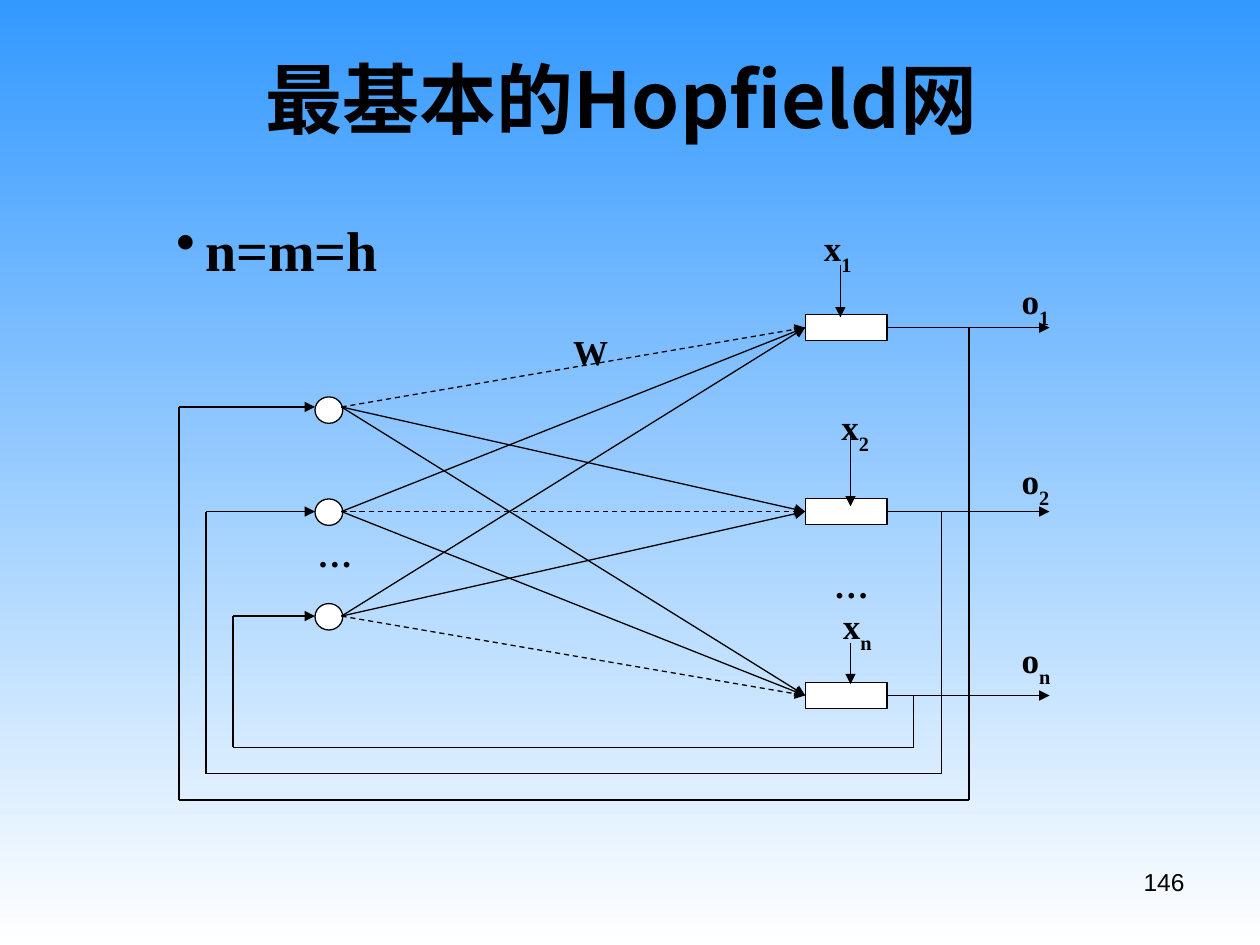
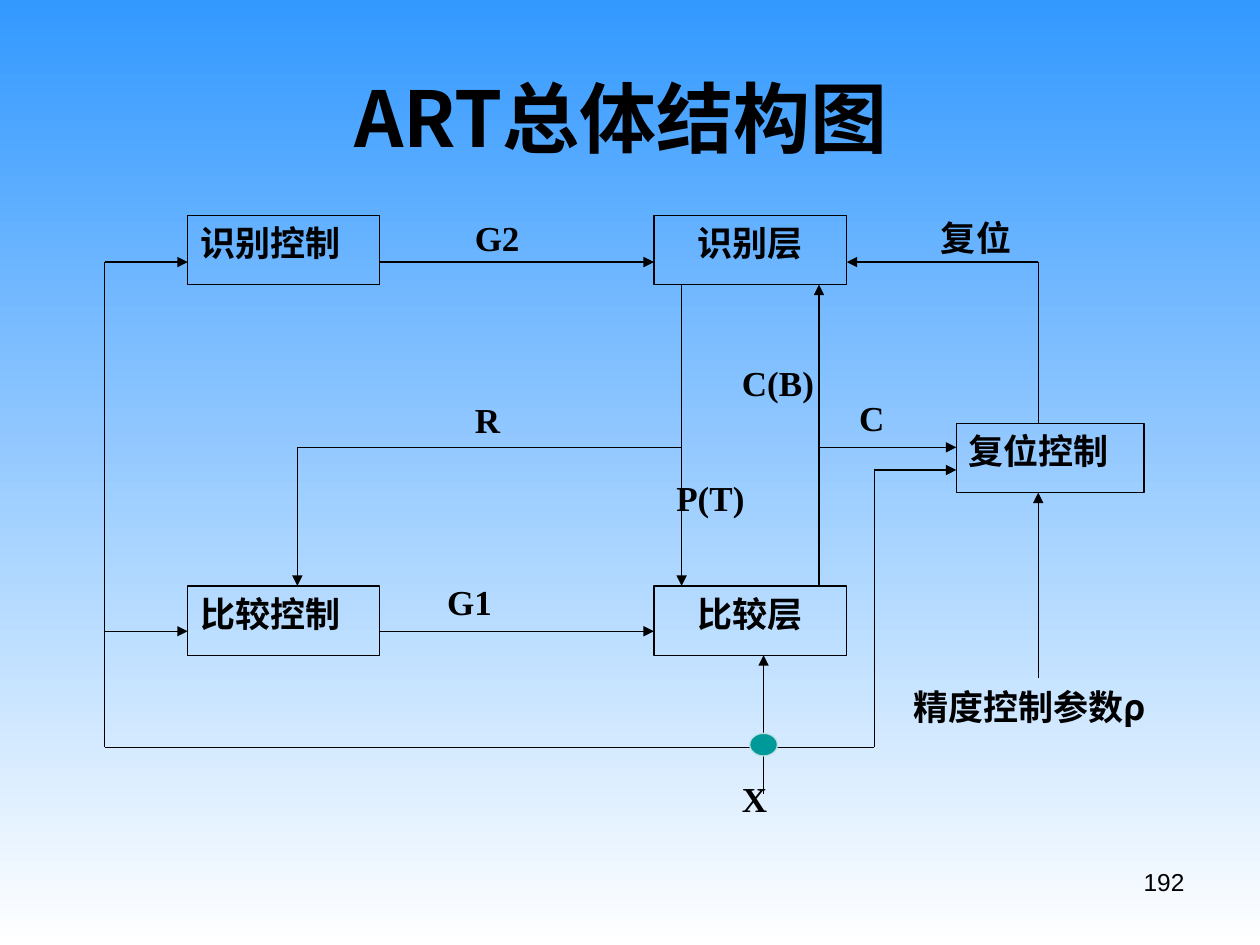
from dataclasses import dataclass
from itertools import pairwise

from lxml import etree
from pptx import Presentation
from pptx.dml.color import RGBColor
from pptx.enum import dml, shapes, text
from pptx.oxml import ns
from pptx.util import Inches, Pt


@dataclass(frozen=True)
class Theme:
    sky: RGBColor = RGBColor(0x33, 0x99, 0xFF)
    white: RGBColor = RGBColor(0xFF, 0xFF, 0xFF)
    ink: RGBColor = RGBColor(0, 0, 0)
    teal: RGBColor = RGBColor(0, 0x99, 0x99)
    pale: RGBColor = RGBColor(0xBB, 0xE0, 0xE3)
    serif: str = "Times New Roman"
    han: str = "Noto Sans CJK SC"
    sans: str = "Arial"
    title: int = 44
    bullet: int = 32
    label: int = 20
    number: int = 14
    line: float = 0.75


theme = Theme()
ALIGN = text.PP_ALIGN
SHAPE = shapes.MSO_SHAPE


def write(frame, words, size=theme.label, font=theme.serif, bold=True, align=ALIGN.LEFT,
          anchor=text.MSO_ANCHOR.TOP, wrap=True, tail="", tail_font=None, baseline=0):
    frame.word_wrap = wrap
    frame.auto_size = text.MSO_AUTO_SIZE.NONE
    frame.vertical_anchor = anchor
    para = frame.paragraphs[0]
    para.alignment = align
    for part, face in ((words, font), (tail, tail_font or font)):
        if part:
            span = para.add_run()
            span.text = part
            span.font.size = Pt(size)
            span.font.bold = bold
            span.font.color.rgb = theme.ink
            span.font.name = face
            properties = span.font._element
            etree.SubElement(properties, ns.qn("a:ea"), typeface=theme.han)
            if part == tail and baseline:
                properties.set("baseline", str(baseline * 1000))
    return para


def wire(page, *points, arrow=True, dashed=False):
    segments = list(pairwise(points))
    for index, (start, end) in enumerate(segments):
        connector = page.shapes.add_connector(
            shapes.MSO_CONNECTOR.STRAIGHT, *(Inches(value) for value in (*start, *end)))
        connector.line.color.rgb = theme.ink
        connector.line.width = Pt(theme.line)
        if dashed:
            connector.line.dash_style = dml.MSO_LINE.DASH
        if arrow and index == len(segments) - 1:
            etree.SubElement(connector.line._get_or_add_ln(), ns.qn("a:tailEnd"), type="triangle")
        etree.SubElement(connector._element.spPr, ns.qn("a:effectLst"))
    return connector


deck = Presentation()
deck.slide_width = Inches(10)
deck.slide_height = Inches(7.5)
backdrop = deck.slide_master.background.fill
backdrop.gradient()
backdrop.gradient_angle = 270
for stop, color in zip(backdrop.gradient_stops, (theme.sky, theme.white)):
    stop.color.rgb = color

pages = []
for heading, height, number in (("最基本的Hopfield网 ", 0.95, "146"), ("ART总体结构图 ", 1.25, "192")):
    page = deck.slides.add_slide(deck.slide_layouts[5])
    title = page.shapes.title
    title.left, title.top, title.width, title.height = (
        Inches(value) for value in (0.5, 0.3, 9, height))
    write(title.text_frame, heading, size=theme.title, font=theme.han,
          align=ALIGN.CENTER, anchor=text.MSO_ANCHOR.MIDDLE)
    box = page.shapes.add_textbox(Inches(7.17), Inches(6.83), Inches(2.33), Inches(0.52))
    write(box.text_frame, number, size=theme.number, font=theme.sans, bold=False, align=ALIGN.RIGHT)
    pages.append(page)

hopfield, art = pages

input_rows = [3.23 + 0.83 * index for index in range(3)]
output_rows = [2.6 + 1.46 * index for index in range(3)]
nodes = [(SHAPE.OVAL, 2.5, top, 0.22) for top in (3.15, 3.96, 4.79)]
nodes += [(SHAPE.RECTANGLE, 6.39, row - 0.21 / 2, 0.65) for row in output_rows]
neurons = []
for preset, left, top, width in nodes:
    node = hopfield.shapes.add_shape(preset, Inches(left), Inches(top), Inches(width), Inches(0.21))
    node.shadow.inherit = False
    node.fill.solid()
    node.fill.fore_color.rgb = theme.white
    node.line.color.rgb = theme.ink
    node.line.width = Pt(theme.line)
    neurons.append(node)
outputs = neurons[3:]

for source, input_row in enumerate(input_rows):
    for target, output_row in enumerate(output_rows):
        weight = wire(hopfield, (2.71, input_row), (6.39, output_row), dashed=source == target)
        weight.end_connect(outputs[target], 1)

for index, (input_row, output_row) in enumerate(zip(input_rows, output_rows)):
    output = wire(hopfield, (7.04, output_row), (8.33, output_row))
    output.begin_connect(outputs[index], 3)
    left, right, bottom = 1.42 + 0.215 * index, 7.69 - 0.22 * index, 6.35 - 0.21 * index
    wire(hopfield, (right, output_row), (right, bottom), (left, bottom),
         (left, input_row), (2.5, input_row))

for x, top, bottom in ((6.67, 2.1, 2.52), (6.75, 3.43, 4.02), (6.75, 5.1, 5.43)):
    wire(hopfield, (x, top), (x, bottom))

for words, subscript, left, top in (
    ("o", "1", 8.01, 2.17), ("o", "2", 8.01, 3.6), ("o", "n", 8.01, 5.02),
    ("x", "1", 6.44, 1.75), ("x", "2", 6.58, 3.17), ("x", "n", 6.59, 4.75),
    ("W", "", 4.45, 2.57), ("…", "", 6.52, 4.42), ("…", "", 2.42, 4.18),
):
    width, height = (0.42, 0.5) if subscript else (0.48, 0.44)
    box = hopfield.shapes.add_textbox(Inches(left), Inches(top), Inches(width), Inches(height))
    write(box.text_frame, words, tail=subscript, baseline=-30, wrap=False)

box = hopfield.shapes.add_textbox(Inches(1.3), Inches(1.66), Inches(2.2), Inches(0.72))
para = write(box.text_frame, "n=m=h", size=theme.bullet)
para.space_before = Pt(8)
properties = para._p.get_or_add_pPr()
properties.set("marL", str(Inches(0.23)))
properties.set("indent", str(Inches(-0.23)))
etree.SubElement(properties, ns.qn("a:buChar"), char="•")

for words, left, top, width, align in (
    ("识别控制", 1.49, 1.71, 1.52, ALIGN.JUSTIFY),
    ("识别层", 5.19, 1.71, 1.53, ALIGN.CENTER),
    ("比较控制", 1.49, 4.65, 1.52, ALIGN.JUSTIFY),
    ("比较层", 5.19, 4.65, 1.53, ALIGN.CENTER),
    ("复位控制", 7.59, 3.36, 1.49, ALIGN.JUSTIFY),
):
    module = art.shapes.add_shape(
        SHAPE.RECTANGLE, Inches(left), Inches(top), Inches(width), Inches(0.55))
    module.shadow.inherit = False
    module.fill.background()
    module.line.color.rgb = theme.ink
    module.line.width = Pt(theme.line)
    write(module.text_frame, words, align=align)

for words, left, top in (
    ("X", 5.79, 6.12), ("C(B)", 5.79, 2.82), ("P(T)", 5.27, 3.73), ("R", 3.67, 3.11),
    ("C", 6.72, 3.1), ("复位", 7.37, 1.67), ("G2", 3.67, 1.67), ("G1", 3.45, 4.56),
):
    box = art.shapes.add_textbox(Inches(left), Inches(top), Inches(0.87), Inches(0.55))
    write(box.text_frame, words, align=ALIGN.JUSTIFY)

box = art.shapes.add_textbox(Inches(7.15), Inches(5.39), Inches(2.18), Inches(0.55))
write(box.text_frame, "精度控制参数", align=ALIGN.JUSTIFY, tail="ρ", tail_font=theme.han)

for route in (
    [(3.01, 2.08), (5.19, 2.08)],
    [(3.01, 5.01), (5.19, 5.01)],
    [(5.41, 2.26), (5.41, 4.65)],
    [(6.5, 4.65), (6.5, 2.26)],
    [(5.41, 3.55), (2.36, 3.55), (2.36, 4.65)],
    [(6.5, 3.55), (7.59, 3.55)],
    [(8.24, 5.38), (8.24, 3.91)],
    [(8.24, 3.36), (8.24, 2.08), (6.72, 2.08)],
    [(6.06, 5.93), (0.83, 5.93), (0.83, 2.08), (1.49, 2.08)],
    [(0.83, 5.01), (1.49, 5.01)],
    [(6.06, 5.93), (6.94, 5.93), (6.94, 3.73), (7.59, 3.73)],
    [(6.06, 6.3), (6.06, 5.2)],
):
    wire(art, *route)

junction = art.shapes.add_shape(SHAPE.OVAL, Inches(5.95), Inches(5.82), Inches(0.22), Inches(0.18))
junction.shadow.inherit = False
junction.fill.solid()
junction.fill.fore_color.rgb = theme.teal
junction.line.color.rgb = theme.pale
junction.line.width = Pt(theme.line)

deck.save("out.pptx")
